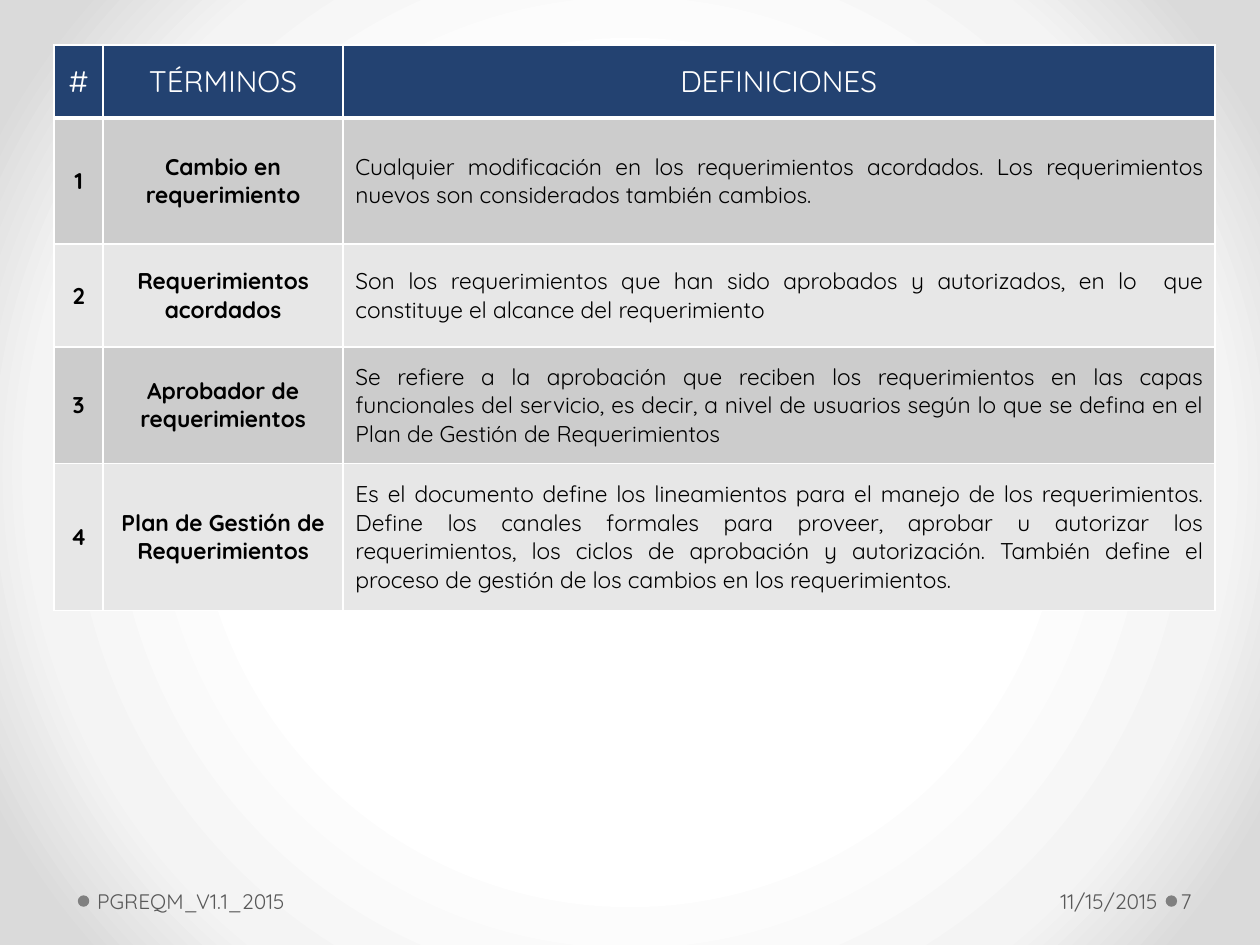
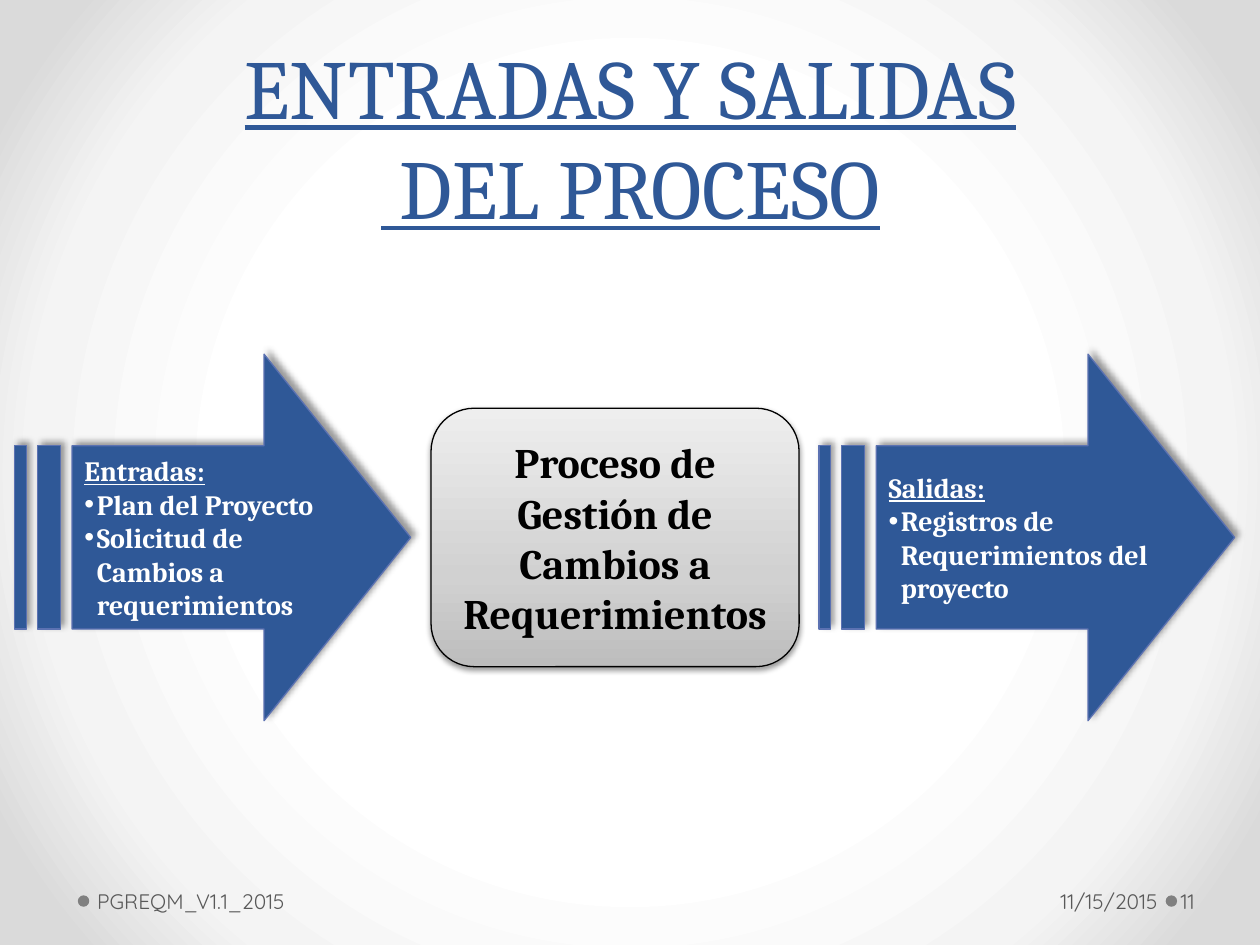
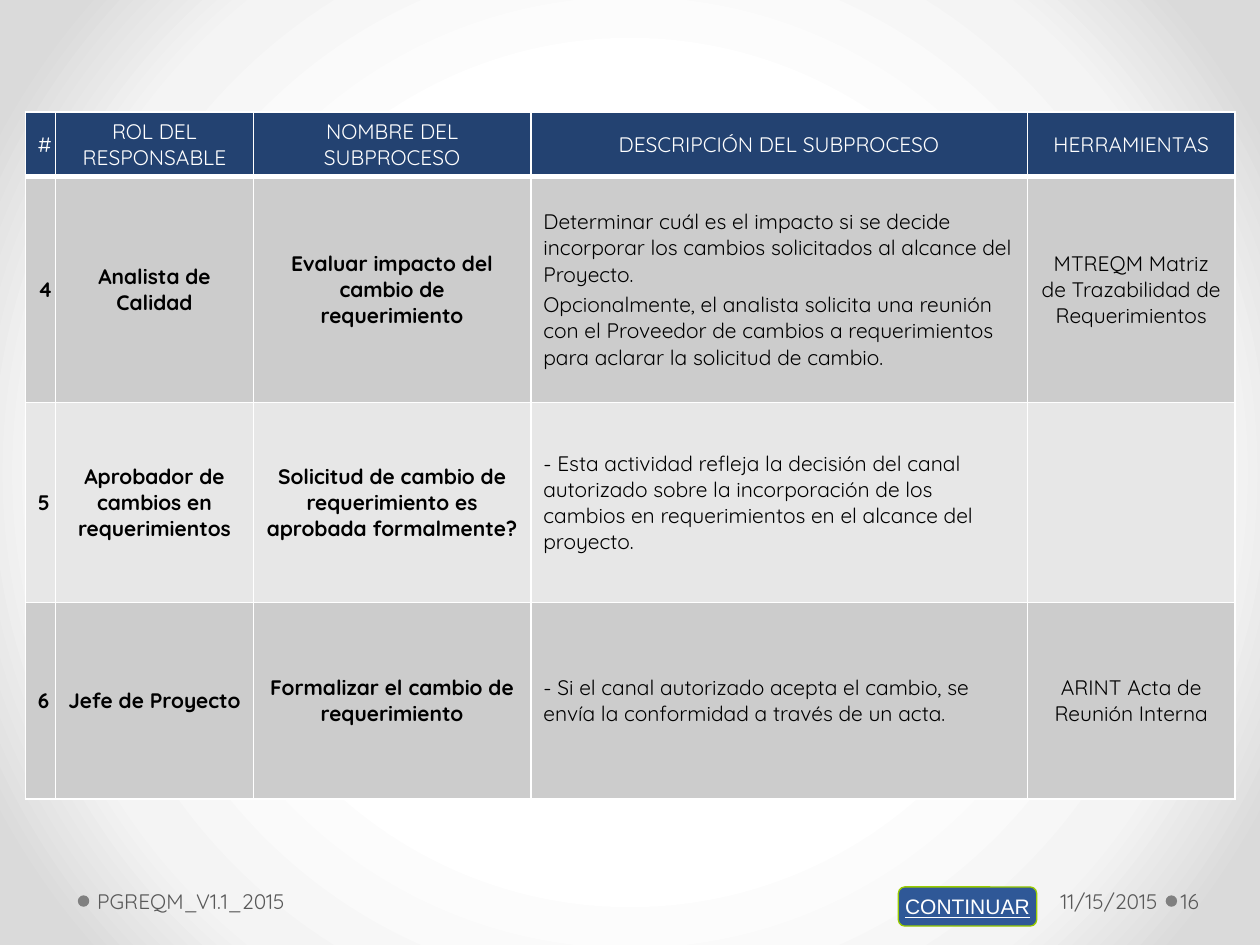
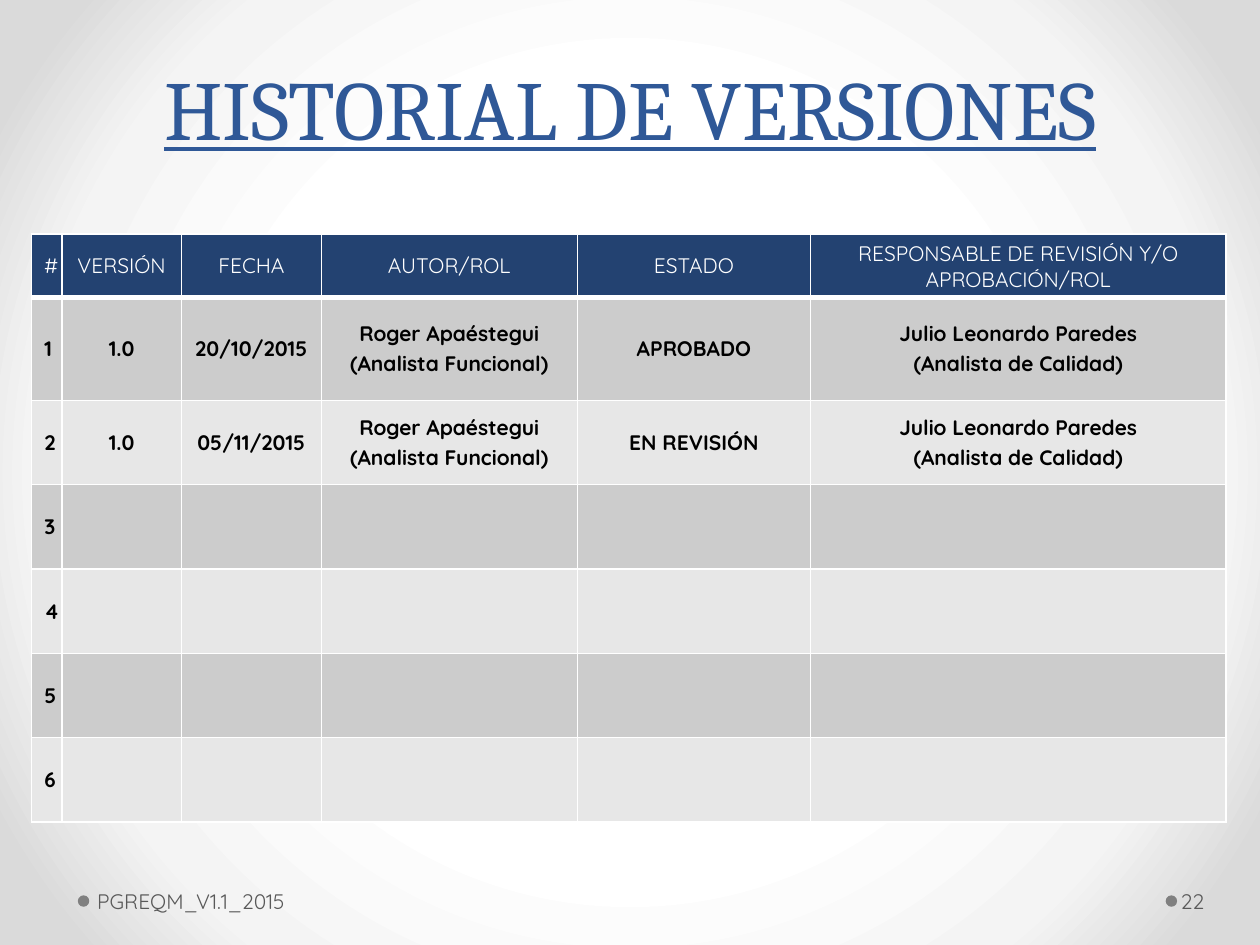
from lxml import etree
from pptx import Presentation
from pptx.dml.color import RGBColor
from pptx.enum.shapes import MSO_SHAPE as Kind
from pptx.enum.text import MSO_ANCHOR as Anchor, MSO_AUTO_SIZE as Fit, PP_ALIGN as Align
from pptx.oxml.ns import qn
from pptx.util import Cm, Pt

BLUE = RGBColor(0x2F, 0x58, 0x97)
NAVY = RGBColor(0x23, 0x42, 0x71)
EDGE = RGBColor(0x5C, 0x72, 0xB2)
LIME = RGBColor(0x99, 0xCC, 0x00)
WHITE = RGBColor(0xFF, 0xFF, 0xFF)
BLACK = RGBColor(0, 0, 0)
GREY = RGBColor(0x59, 0x59, 0x59)
DOT = RGBColor(0x80, 0x80, 0x80)
DARK = RGBColor(0xCC, 0xCC, 0xCC)
PALE = RGBColor(0xE7, 0xE7, 0xE7)

SANS = "Quicksand"
SERIF = "Cambria"


def put(frame, text, size=12, font=SANS, color=BLACK, bold=False, under=False,
        align=Align.LEFT, anchor=Anchor.MIDDLE, gap=0, bullet=False):
    """Fill a frame, one paragraph a line; bullets and gaps start at the second."""
    frame.vertical_anchor = anchor
    for i, line in enumerate(text.split("\n")):
        para = frame.paragraphs[0] if i == 0 else frame.add_paragraph()
        para.text = line
        para.alignment = align
        if i and gap:
            para.space_before = Pt(gap)
        if i and bullet:
            props = para._p.get_or_add_pPr()
            props.set("marL", str(Cm(0.25)))
            props.set("indent", str(-Cm(0.25)))
            etree.SubElement(props, qn("a:buFont"), typeface="Arial")
            etree.SubElement(props, qn("a:buChar"), char="•")
        for run in para.runs:
            run.font.size = Pt(size)
            run.font.name = font
            run.font.color.rgb = color
            run.font.bold = bold
            run.font.underline = under


def blend(props, stops, angle=None):
    """Swap the solid fill for a gradient: linear with an angle, else round."""
    grad = etree.Element(qn("a:gradFill"), rotWithShape="1")
    list_ = etree.SubElement(grad, qn("a:gsLst"))
    for place, tone in stops:
        stop = etree.SubElement(list_, qn("a:gs"), pos=str(place * 1000))
        etree.SubElement(stop, qn("a:srgbClr"), val=tone)
    if angle is None:
        way = etree.SubElement(grad, qn("a:path"), path="circle")
        etree.SubElement(way, qn("a:fillToRect"), l="50000", t="50000", r="50000", b="50000")
    else:
        etree.SubElement(grad, qn("a:lin"), ang=str(angle * 60000), scaled="0")
    props.replace(props.find(qn("a:solidFill")), grad)


deck = Presentation()
deck.slide_width, deck.slide_height = Cm(25.4), Cm(19.05)

# Shared background
master = deck.slide_master
master.background.fill.solid()
blend(master.element.find(".//" + qn("p:bgPr")),
      [(50, "FFFFFF"), (76, "F4F4F4"), (92, "DADADA")])

# Slides with title and footer: number, date, title, title height
TITLE_ONLY, BLANK = 5, 6
DATE = "11/15/2015"
pages = [
    ("7", DATE, "", 0),
    ("11", DATE, "ENTRADAS Y SALIDAS\v DEL PROCESO", 4.42),
    ("16", DATE, "", 0),
    ("22", "", "HISTORIAL DE VERSIONES", 2.82),
]
slides = []
for page, date, title, height in pages:
    slide = deck.slides.add_slide(deck.slide_layouts[TITLE_ONLY if title else BLANK])
    slides.append(slide)
    if title:
        head = slide.shapes.title
        head.left, head.top, head.width, head.height = Cm(0.71), Cm(0.48), Cm(24), Cm(height)
        head.text_frame.auto_size = Fit.NONE
        put(head.text_frame, title, size=48, font=SERIF, color=BLUE, under=True,
            align=Align.CENTER, anchor=Anchor.BOTTOM)
    for left in (1.57, 23.5):
        dot = slide.shapes.add_shape(Kind.OVAL, Cm(left), Cm(18.05), Cm(0.23), Cm(0.23))
        dot.shadow.inherit = False
        dot.fill.solid()
        dot.fill.fore_color.rgb = DOT
        dot.line.fill.background()
    for text, left, width, start, end, align in (
            ("PGREQM_V1.1_2015", 1.83, 10.06, 0.13, 0.25, Align.LEFT),
            (date, 17.68, 5.79, 0.25, 0.13, Align.RIGHT),
            (page, 23.72, 1.55, 0.08, 0.13, Align.LEFT)):
        if text:
            box = slide.shapes.add_textbox(Cm(left), Cm(17.65), Cm(width), Cm(1.02))
            frame = box.text_frame
            frame.word_wrap = True
            frame.margin_left, frame.margin_right = Cm(start), Cm(end)
            put(frame, text, color=GREY, align=align)

# Tables: slide, place, columns, rows, head size, body size,
# alignment of the columns that are not bold, texts
AUTHOR = "Roger Apaéstegui\n(Analista Funcional)"
CHECKER = "Julio Leonardo Paredes\n(Analista de Calidad)"
tables = [
    (slides[0], 1.09, 0.91, [0.99, 4.83, 17.58], [1.47, 2.54, 2.08, 2.34, 2.97],
     17, 13, {2: Align.JUSTIFY}, [
        ["#", "TÉRMINOS", "DEFINICIONES"],
        ["1", "Cambio en requerimiento",
         "Cualquier modificación en los requerimientos acordados. Los requerimientos "
         "nuevos son considerados también cambios. "],
        ["2", "Requerimientos acordados",
         "Son los requerimientos que han sido aprobados y autorizados, en lo  que "
         "constituye el alcance del requerimiento"],
        ["3", "Aprobador de requerimientos",
         "Se refiere a la aprobación que reciben los requerimientos en las capas "
         "funcionales del servicio, es decir, a nivel de usuarios según lo que se "
         "defina en el Plan de Gestión de Requerimientos"],
        ["4", "Plan de Gestión de Requerimientos",
         "Es el documento define los lineamientos para el manejo de los "
         "requerimientos. Define los canales formales para proveer, aprobar u "
         "autorizar los requerimientos, los ciclos de aprobación y autorización. "
         "También define el proceso de gestión de los cambios en los requerimientos."],
     ]),
    (slides[2], 0.51, 2.26, [0.61, 3.99, 5.59, 10.01, 4.19], [1.3, 4.55, 4.04, 3.96],
     12, 12, {3: Align.LEFT, 4: Align.CENTER}, [
        ["#", "ROL DEL RESPONSABLE", "NOMBRE DEL SUBPROCESO",
         "DESCRIPCIÓN DEL SUBPROCESO", "HERRAMIENTAS"],
        ["4", "Analista de Calidad", "Evaluar impacto del cambio de requerimiento",
         "Determinar cuál es el impacto si se decide incorporar los cambios "
         "solicitados al alcance del Proyecto.\n"
         "Opcionalmente, el analista solicita una reunión con el Proveedor de "
         "cambios a requerimientos para aclarar la solicitud de cambio.",
         "MTREQM Matriz de Trazabilidad de Requerimientos"],
        ["5", "Aprobador de cambios en requerimientos",
         "Solicitud de cambio de requerimiento es aprobada formalmente?",
         "- Esta actividad refleja la decisión del canal autorizado sobre la "
         "incorporación de los cambios en requerimientos en el alcance del proyecto.",
         ""],
        ["6", "Jefe de Proyecto", "Formalizar el cambio de requerimiento",
         "- Si el canal autorizado acepta el cambio, se envía la conformidad a "
         "través de un acta.",
         "ARINT Acta de Reunión Interna"],
     ]),
    (slides[3], 0.64, 4.72, [0.58, 2.41, 2.82, 5.16, 4.7, 8.38], [1.22, 2.08] + [1.7] * 5,
     12, 12, {}, [
        ["#", "VERSIÓN", "FECHA", "AUTOR/ROL", "ESTADO",
         "RESPONSABLE DE REVISIÓN Y/O APROBACIÓN/ROL"],
        ["1", "1.0", "20/10/2015", AUTHOR, "APROBADO", CHECKER],
        ["2", "1.0", "05/11/2015", AUTHOR, "EN REVISIÓN", CHECKER],
        *[[str(n)] + [""] * 5 for n in range(3, 7)],
     ]),
]
for slide, left, top, cols, rows, big, small, plain, texts in tables:
    grid = slide.shapes.add_table(len(rows), len(cols), Cm(left), Cm(top),
                                  Cm(sum(cols)), Cm(sum(rows))).table
    for col, width in zip(grid.columns, cols):
        col.width = Cm(width)
    for row, height in zip(grid.rows, rows):
        row.height = Cm(height)
    for r, line in enumerate(texts):
        for c, text in enumerate(line):
            cell = grid.cell(r, c)
            props = cell._tc.get_or_add_tcPr()
            for side in "LRTB":
                thick = 3 if r == 0 and side == "B" else 1
                edge = etree.SubElement(props, qn("a:ln" + side), w=str(Pt(thick)))
                paint = etree.SubElement(edge, qn("a:solidFill"))
                etree.SubElement(paint, qn("a:srgbClr"), val=str(WHITE))
            cell.fill.solid()
            cell.fill.fore_color.rgb = NAVY if r == 0 else DARK if r % 2 else PALE
            cell.vertical_anchor = Anchor.MIDDLE
            if r == 0:
                put(cell.text_frame, text, size=big, color=WHITE, align=Align.CENTER)
            elif text:
                put(cell.text_frame, text, size=small, bold=c not in plain,
                    align=plain.get(c, Align.CENTER), gap=2.4)
            cell.vertical_anchor = Anchor.MIDDLE

# Process: inputs, outputs and the box between them; shadow is blur, distance, angle, alpha
ARROW, ROUND = Kind.STRIPED_RIGHT_ARROW, Kind.ROUNDED_RECTANGLE
flow = [
    (ARROW, 0.3, 7.14, 7.98, 7.39, (4, 3, 315, 40),
     "Entradas:\nPlan del Proyecto\nSolicitud de Cambios a requerimientos"),
    (ARROW, 16.51, 7.14, 8.38, 7.39, (4, 3, 315, 40),
     "Salidas:\nRegistros de Requerimientos del proyecto"),
    (ROUND, 8.69, 8.23, 7.42, 5.21, (3.1, 1.6, 90, 38),
     "Proceso de Gestión de Cambios a Requerimientos"),
]
for kind, left, top, width, height, (blur, far, angle, alpha), text in flow:
    shape = slides[1].shapes.add_shape(kind, Cm(left), Cm(top), Cm(width), Cm(height))
    shape.fill.solid()
    shape.fill.fore_color.rgb = BLUE
    shape.line.width = Pt(0.75)
    shape.shadow.inherit = False
    props = shape._element.spPr
    shade = etree.SubElement(props.find(qn("a:effectLst")), qn("a:outerShdw"),
                             blurRad=str(Pt(blur)), dist=str(Pt(far)),
                             dir=str(angle * 60000), rotWithShape="0")
    tone = etree.SubElement(shade, qn("a:srgbClr"), val=str(BLACK))
    etree.SubElement(tone, qn("a:alpha"), val=str(alpha * 1000))
    frame = shape.text_frame
    frame.word_wrap = True
    if kind == ARROW:
        shape.adjustments[0], shape.adjustments[1] = 0.5, 0.4
        shape.line.color.rgb = EDGE
        put(frame, text, size=16, font=SERIF, color=WHITE, bold=True, bullet=True)
        frame.paragraphs[0].runs[0].font.underline = True
    else:
        shape.line.color.rgb = BLACK
        blend(props, [(0, "BDBDBD"), (35, "D1D1D1"), (100, "EEEEEE")], angle=270)
        put(frame, text, size=24, font=SERIF, bold=True, align=Align.CENTER)

# Button
button = slides[2].shapes.add_shape(Kind.FLOWCHART_ALTERNATE_PROCESS,
                                    Cm(18.11), Cm(17.88), Cm(2.79), Cm(0.79))
button.shadow.inherit = False
button.fill.solid()
button.fill.fore_color.rgb = BLUE
button.line.color.rgb = LIME
button.line.width = Pt(0.75)
button.text_frame.word_wrap = False
put(button.text_frame, "CONTINUAR", font="Arial", color=WHITE, under=True, align=Align.CENTER)

deck.save("out.pptx")
